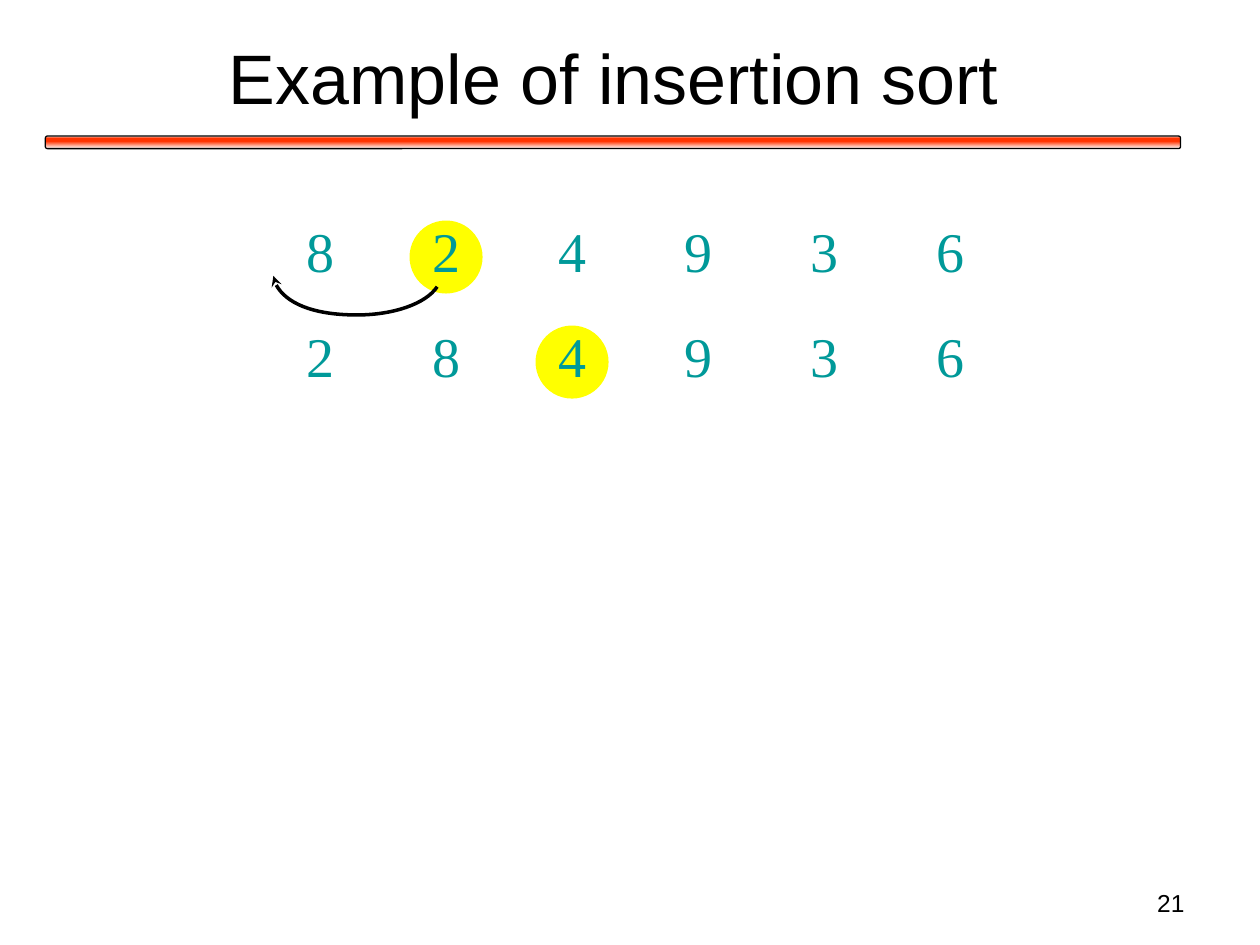
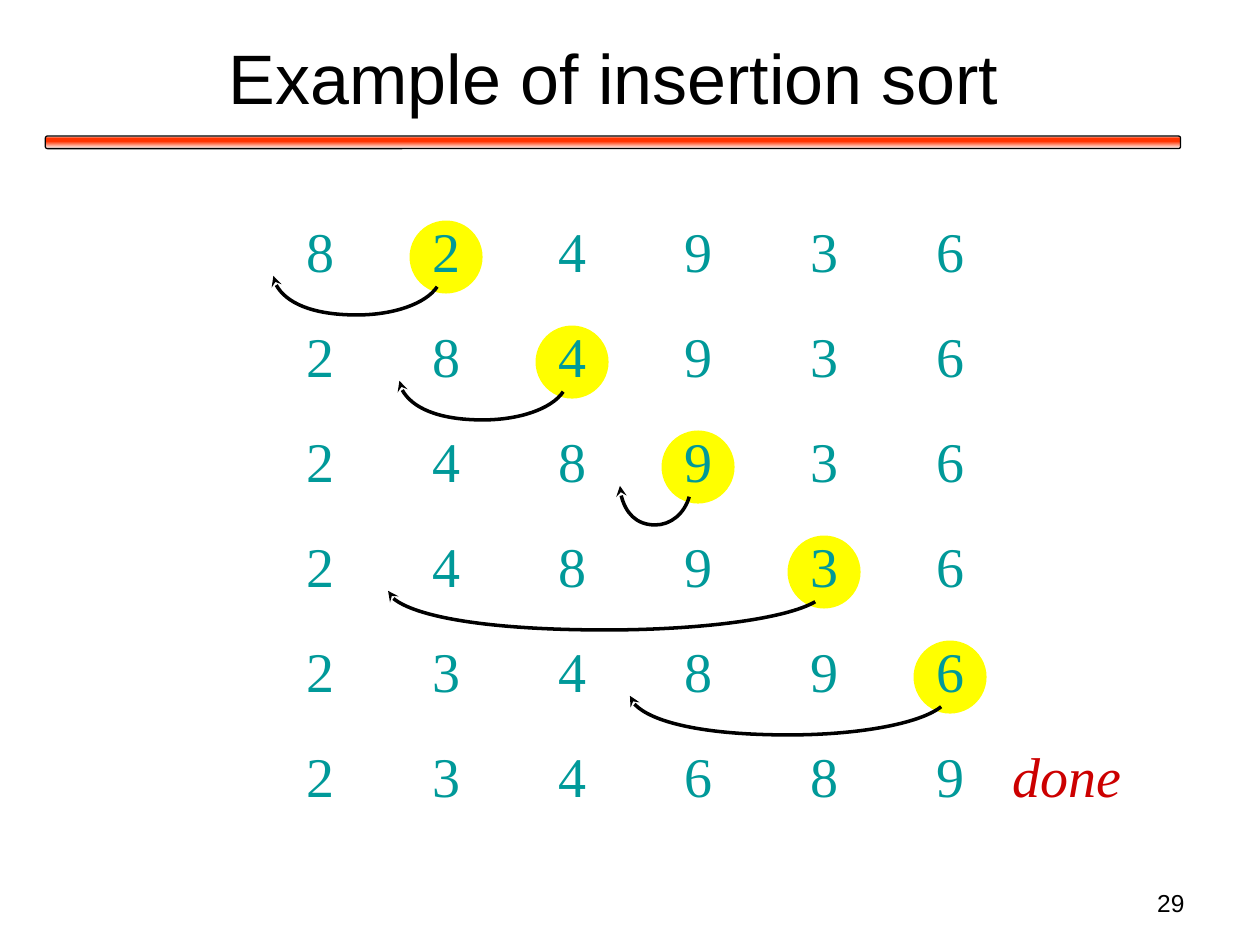
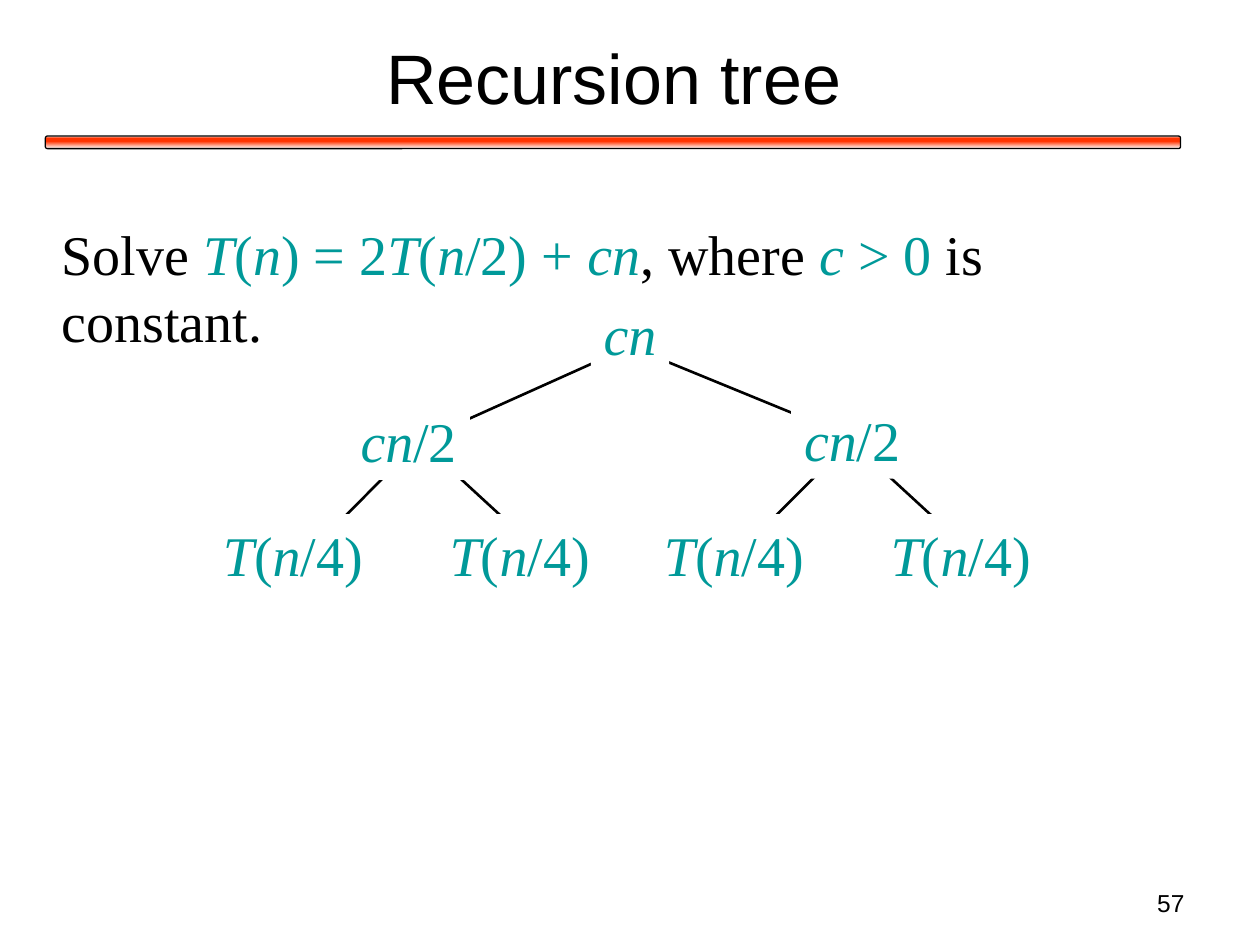
from dataclasses import dataclass
from itertools import groupby

from lxml import etree
from pptx import Presentation
from pptx.dml.color import RGBColor
from pptx.enum.shapes import MSO_CONNECTOR, MSO_SHAPE
from pptx.enum.text import MSO_ANCHOR, MSO_AUTO_SIZE, PP_ALIGN
from pptx.oxml.ns import qn
from pptx.util import Inches, Pt

LEFT, CENTER, RIGHT = PP_ALIGN.LEFT, PP_ALIGN.CENTER, PP_ALIGN.RIGHT
TOP, MIDDLE = MSO_ANCHOR.TOP, MSO_ANCHOR.MIDDLE
GROW, FIXED = MSO_AUTO_SIZE.SHAPE_TO_FIT_TEXT, MSO_AUTO_SIZE.NONE
STRAIGHT = MSO_CONNECTOR.STRAIGHT
RECTANGLE, OVAL, ROUNDED = MSO_SHAPE.RECTANGLE, MSO_SHAPE.OVAL, MSO_SHAPE.ROUNDED_RECTANGLE


@dataclass(frozen=True)
class Theme:
    black: str = "000000"
    white: str = "FFFFFF"
    band: str = "FF3300"
    formula: str = "009999"
    highlight: str = "FFFF00"
    done: str = "CC0000"
    heading_font: str = "Arial"
    body_font: str = "Times New Roman"
    title_size: int = 40
    body_size: int = 32
    number_size: int = 14


THEME = Theme()
BAND_STOPS = [(0, THEME.white), (16, THEME.band), (42, THEME.band), (100, THEME.white)]

NUMBERS = [8, 2, 4, 9, 3, 6]
GRID_LEFT, GRID_TOP = 2.33, 1.67
COLUMN_STEP, ROW_STEP = 1, 5 / 6
ARROW_ENDS = [2.17, 3.17, 4.92, 3.08, 5]
ARROW_CURVE = [(1, 0.3), (0.93, 0.73), (0.73, 1), (0.51, 1), (0.23, 1), (0.01, 0.57), (0, 0.03)]
ARROW_HEIGHT = 0.32

TREE_EDGES = [
    (5, 2.75, 3.33, 3.5), (5, 2.75, 6.83, 3.5),
    (3.33, 3.5, 2.42, 4.42), (3.33, 3.5, 4.33, 4.42),
    (6.75, 3.5, 5.83, 4.42), (6.75, 3.5, 7.75, 4.42),
]
TREE_NODES = [
    ("cn", 4.69, 2.33, 0.62),
    ("T(n/4)", 1.67, 4.08, 1.31), ("T(n/4)", 3.47, 4.08, 1.31),
    ("T(n/4)", 5.17, 4.08, 1.31), ("T(n/4)", 6.97, 4.08, 1.31),
    ("cn/2", 2.76, 3.18, 0.97), ("cn/2", 6.28, 3.17, 0.97),
]


def rgb(color):
    return RGBColor.from_string(color)


def plain(text, color=THEME.black):
    return [(text, color, False)]


def formula(text, color=THEME.formula):
    return [("".join(part), color, letters) for letters, part in groupby(text, str.isalpha)]


def write(shape, spans, size=THEME.body_size, font=THEME.body_font, align=CENTER,
          anchor=TOP, wrap=False, auto_size=GROW):
    frame = shape.text_frame
    frame.word_wrap = wrap
    frame.auto_size = auto_size
    frame.vertical_anchor = anchor
    para = frame.paragraphs[0]
    para.alignment = align
    for text, color, italic in spans:
        span = para.add_run()
        span.text = text
        span.font.name = font
        span.font.size = Pt(size)
        span.font.italic = italic
        span.font.color.rgb = rgb(color)


def add_text(page, spans, left, top, width, height=0.63, **style):
    box = page.shapes.add_textbox(Inches(left), Inches(top), Inches(width), Inches(height))
    write(box, spans, **style)


def add_block(page, kind, fill, left, top, width, height):
    block = page.shapes.add_shape(kind, Inches(left), Inches(top), Inches(width), Inches(height))
    block.shadow.inherit = False
    block.fill.solid()
    block.fill.fore_color.rgb = rgb(fill)
    block.line.fill.background()
    return block


def add_band(page):
    band = add_block(page, ROUNDED, THEME.band, 0.36, 1.08, 9.01, 0.1)
    band.adjustments[0] = 0.167
    band.line.color.rgb = rgb(THEME.black)
    band.line.width = Pt(0.75)
    band.fill.gradient()
    band.fill.gradient_angle = 270
    stops = band._element.spPr.find(".//" + qn("a:gsLst"))
    for stop in list(stops):
        stops.remove(stop)
    for position, color in BAND_STOPS:
        stop = etree.SubElement(stops, qn("a:gs"), pos=str(position * 1000))
        etree.SubElement(stop, qn("a:srgbClr"), val=color)


def add_page(deck, title, number):
    page = deck.slides.add_slide(deck.slide_layouts[6])
    add_band(page)
    add_text(page, plain(title), 0.37, 0.11, 9, 0.99, size=THEME.title_size,
             font=THEME.heading_font, anchor=MIDDLE, wrap=True, auto_size=FIXED)
    add_text(page, plain(str(number)), 7.17, 7, 2.33, 0.35, size=THEME.number_size,
             font=THEME.heading_font, align=RIGHT, wrap=True, auto_size=FIXED)
    return page


def add_curved_arrow(page, start, end, top):
    points = [(Inches(end + x * (start - end)), Inches(top + y * ARROW_HEIGHT))
              for x, y in ARROW_CURVE]
    builder = page.shapes.build_freeform(*points[0])
    builder.add_line_segments(points[1:], close=False)
    arrow = builder.convert_to_shape()
    arrow.shadow.inherit = False
    arrow.fill.background()
    arrow.line.color.rgb = rgb(THEME.black)
    arrow.line.width = Pt(2)
    etree.SubElement(arrow.line._get_or_add_ln(), qn("a:tailEnd"), type="stealth")
    segments = arrow._element.spPr.findall(".//" + qn("a:lnTo"))
    outline = segments[0].getparent()
    for first in range(0, len(segments), 3):
        curve = etree.SubElement(outline, qn("a:cubicBezTo"))
        for segment in segments[first:first + 3]:
            curve.append(segment[0])
            outline.remove(segment)


def add_edge(page, *ends):
    edge = page.shapes.add_connector(STRAIGHT, *map(Inches, ends))
    edge.line.color.rgb = rgb(THEME.black)
    edge.line.width = Pt(1.5)
    etree.SubElement(edge._element.spPr, qn("a:effectLst"))


def add_node(page, label, left, top, width):
    node = add_block(page, RECTANGLE, THEME.white, left, top, width, 0.63)
    write(node, formula(label))


def insertion_rows(numbers):
    return [sorted(numbers[:done]) + numbers[done:] for done in range(1, len(numbers) + 1)]


def add_sort_page(deck, number, row_count, arrow_count):
    page = add_page(deck, "Example of insertion sort", number)
    for row, values in enumerate(insertion_rows(NUMBERS)[:row_count]):
        top = GRID_TOP + row * ROW_STEP
        key = row + 1
        key_left = GRID_LEFT + key * COLUMN_STEP
        if key < len(values):
            add_block(page, OVAL, THEME.highlight, key_left - 0.08, top + 0.08, 0.58, 0.58)
        for column, value in enumerate(values):
            add_text(page, formula(str(value)), GRID_LEFT + column * COLUMN_STEP, top, 0.42)
        if row < arrow_count:
            add_curved_arrow(page, key_left + 0.14, ARROW_ENDS[row], top + 0.51)
    return page


def add_tree_page(deck, number):
    page = add_page(deck, "Recursion tree", number)
    task = (plain("Solve ") + formula("T(n) = 2T(n/2) + cn") + plain(", where ")
            + formula("c > 0") + plain(" is constant."))
    add_text(page, task, 0.39, 1.69, 9, align=LEFT, wrap=True)
    for edge in TREE_EDGES:
        add_edge(page, *edge)
    for node in TREE_NODES:
        add_node(page, *node)


def main():
    deck = Presentation()
    deck.slide_width, deck.slide_height = Inches(10), Inches(7.5)
    add_sort_page(deck, 21, row_count=2, arrow_count=1)
    finished = add_sort_page(deck, 29, row_count=6, arrow_count=5)
    add_text(finished, formula("done", THEME.done), 7.93, GRID_TOP + 5 * ROW_STEP, 1.07)
    add_tree_page(deck, 57)
    deck.save("out.pptx")


if __name__ == "__main__":
    main()
